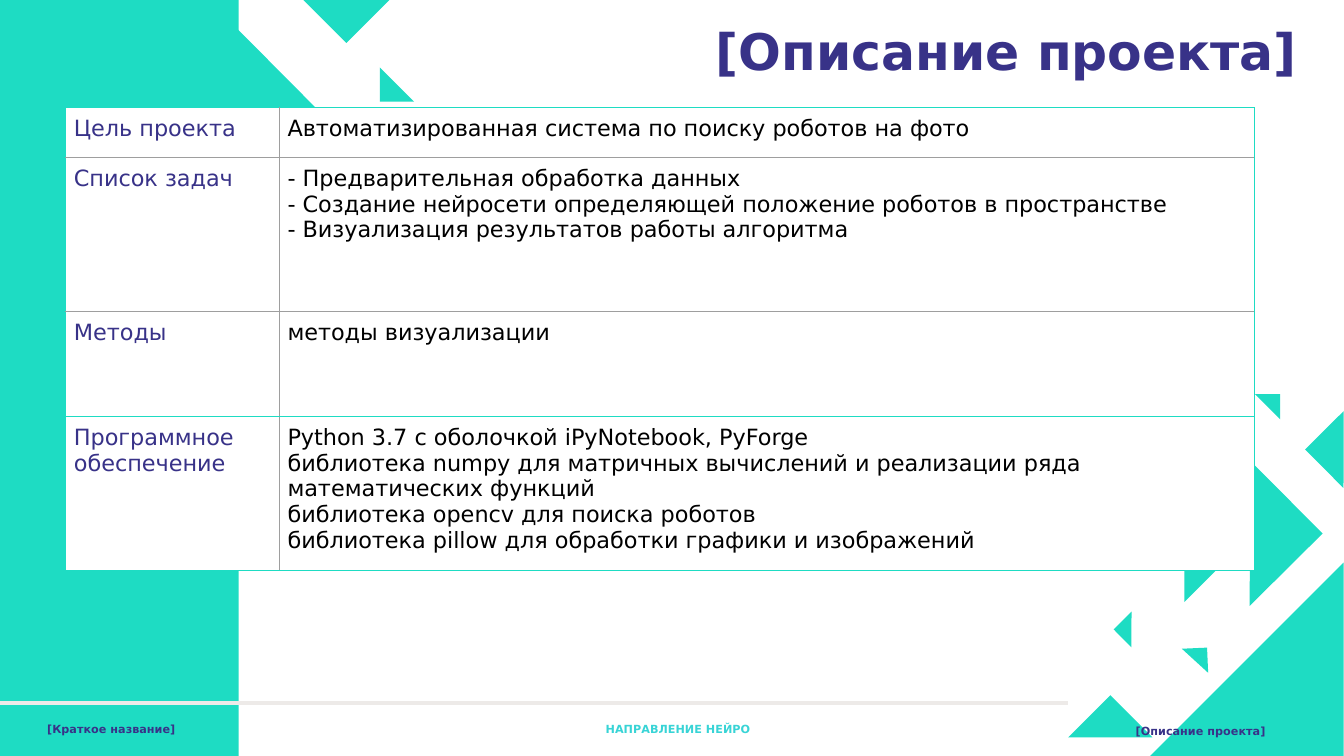
from pptx import Presentation
from pptx.util import Pt
from pptx.dml.color import RGBColor
from pptx.enum.shapes import MSO_SHAPE, MSO_CONNECTOR
from pptx.oxml import parse_xml
from pptx.oxml.ns import nsdecls
from lxml import etree

HUES = {"teal": "1EDCC3", "navy": "383288", "aqua": "38D4D6", "sand": "EDEAE8",
        "white": "FFFFFF", "black": "000000", "gray": "9E9E9E"}
FACE = "DejaVu Sans"

LABELS = [
    ("[Описание проекта]", (504, 10.8, 533.5, 51.1), {"size": 36, "hue": "navy", "bold": True}),
    ("[Описание проекта]", (804.2, 514.1, 115.2, 17.3), {"size": 8, "hue": "navy", "bold": True}),
    ("[Краткое название]", (26.6, 512.6, 142.6, 17.3), {"size": 8, "hue": "navy", "bold": True}),
    ("НАПРАВЛЕНИЕ НЕЙРО", (425.5, 512.6, 123.1, 17.3), {"size": 8, "hue": "aqua", "bold": True}),
]
WEDGES = [
    (856.1, 344.2, 73.4, 225.2),
    (820.1, 401.8, 139.7, 270),
    (940.3, 301.7, 38.9, 45.2),
    (799.2, 440.6, 18, 45.2),
    (844.6, 463, 18, 177.5),
    (896.4, 281.5, 18, 180),
    (846, 407, 23, 90),
    (771.8, 505.4, 42.5, 135),
    (271.4, 48.2, 24.5, 0),
    (231.1, 108.7, 46.8, 90),
    (225.4, -22.3, 43.9, 315),
    (129.6, 37.4, 79.9, 225.2),
]
ROWS = [
    ("Цель проекта", ["Автоматизированная система по поиску роботов на фото"], 35.5),
    ("Список задач", ["- Предварительная обработка данных",
                      "- Создание нейросети определяющей положение роботов в пространстве",
                      "- Визуализация результатов работы алгоритма"], 110),
    ("Методы", ["методы визуализации"], 75),
    ("Программное обеспечение",
     ["Python 3.7 с оболочкой iPyNotebook, PyForge",
      "библиотека numpy для матричных вычислений и реализации ряда математических функций\u00a0",
      "библиотека opencv для поиска роботов\u00a0",
      "библиотека pillow для обработки графики и изображений"], 110),
]
COLS = (152.6, 696.4)
GRAYS = (1, 2)
BODY = {"size": 16, "bold": False}
INSETS = {side: Pt(6) for side in ("margin_left", "margin_right", "margin_top", "margin_bottom")}


def rgb(hue):
    return RGBColor.from_string(HUES[hue])


def paint(part, hue):
    part.fill.solid()
    part.fill.fore_color.rgb = rgb(hue)


def write(frame, lines, style):
    for i, line in enumerate(lines):
        para = frame.paragraphs[0] if i == 0 else frame.add_paragraph()
        run = para.add_run()
        run.text = line
        form = {"name": FACE, "size": Pt(style["size"]), "bold": style["bold"]}
        for key, val in form.items():
            setattr(run.font, key, val)
        run.font.color.rgb = rgb(style["hue"])


def block(kind, box, turn=0):
    shape = slide.shapes.add_shape(kind, *map(Pt, box))
    shape.shadow.inherit = False
    shape.rotation = turn
    paint(shape, "teal")
    shape.line.fill.background()


def border(cell, row, col):
    hues = {"lnL": "gray" if col else "teal",
            "lnR": "teal" if col else "gray",
            "lnT": "gray" if row in GRAYS else "teal",
            "lnB": "gray" if row + 1 in GRAYS else "teal"}
    props = cell._tc.get_or_add_tcPr()
    for i, (tag, hue) in enumerate(hues.items()):
        props.insert(i, parse_xml(
            f'<a:{tag} {nsdecls("a")} w="6350"><a:solidFill>'
            f'<a:srgbClr val="{HUES[hue]}"/></a:solidFill></a:{tag}>'))


deck = Presentation()
deck.slide_width, deck.slide_height = Pt(960), Pt(540)
slide = deck.slides.add_slide(deck.slide_layouts[6])

block(MSO_SHAPE.RECTANGLE, (0, 0, 170.6, 540))
for left, top, size, turn in WEDGES:
    block(MSO_SHAPE.RIGHT_TRIANGLE, (left, top, size, size), turn)

rule = slide.shapes.add_connector(MSO_CONNECTOR.STRAIGHT, Pt(0), Pt(502), Pt(763), Pt(502))
rule.line.color.rgb = rgb("sand")
rule.line.width = Pt(3)
etree.SubElement(rule._element.spPr, "{http://schemas.openxmlformats.org/drawingml/2006/main}effectLst")

high = sum(row[2] for row in ROWS)
grid = slide.shapes.add_table(len(ROWS), len(COLS), Pt(46.8), Pt(76.8),
                              Pt(sum(COLS)), Pt(high)).table
grid.first_row = grid.horz_banding = False
for col, wide in enumerate(COLS):
    grid.columns[col].width = Pt(wide)
for row, (head, lines, tall) in enumerate(ROWS):
    grid.rows[row].height = Pt(tall)
    for col, (text, hue) in enumerate((([head], "navy"), (lines, "black"))):
        cell = grid.cell(row, col)
        for key, val in INSETS.items():
            setattr(cell, key, val)
        paint(cell, "white")
        border(cell, row, col)
        write(cell.text_frame, text, {**BODY, "hue": hue})

for text, box, style in LABELS:
    frame = slide.shapes.add_textbox(*map(Pt, box)).text_frame
    frame.word_wrap = True
    write(frame, [text], style)

deck.save("out.pptx")
